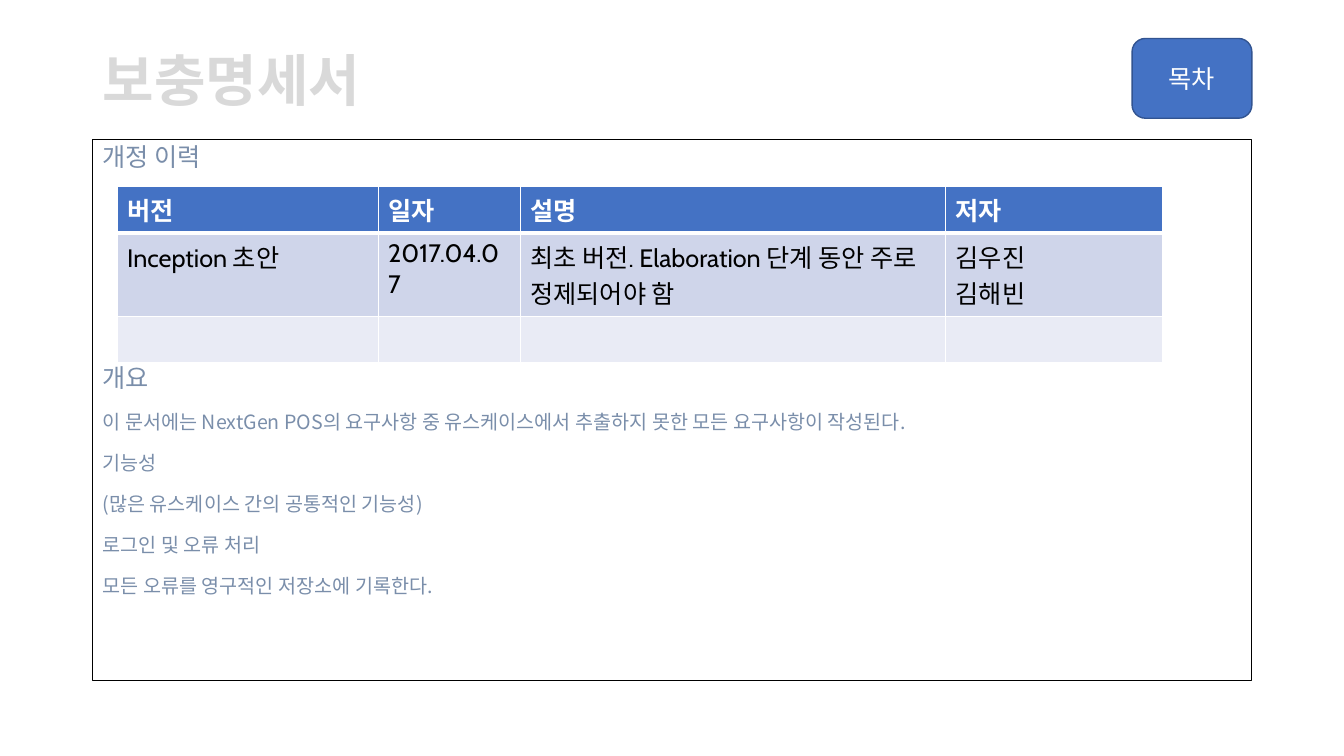
from dataclasses import dataclass

from lxml.etree import SubElement
from pptx import Presentation
from pptx.dml.color import RGBColor as Rgb
from pptx.enum.shapes import MSO_SHAPE as Shape
from pptx.enum.text import MSO_ANCHOR as Anchor, PP_ALIGN as Align
from pptx.oxml.ns import qn
from pptx.util import Cm, Pt


@dataclass(frozen=True)
class Theme:
    hangul: str = "Noto Sans CJK KR"
    latin: str = "Cabin"
    white: str = "FFFFFF"
    black: str = "000000"
    blue: str = "4472C4"
    edge: str = "325491"
    title: str = "D9D9D9"
    slate: str = "7A8EAA"
    band: str = "CFD5EA"
    pale: str = "E9EBF5"
    huge: int = 40
    large: int = 18
    small: int = 14


T = Theme()

HEADS = ["버전", "일자", "설명", "저자"]
# Each cell holds lines, each line holds (text, font) runs
ENTRY = [
    [[("Inception ", T.latin), ("초안", T.hangul)]],
    [[("2017.04.07", T.latin)]],
    [[("최초 버전", T.hangul), (". Elaboration ", T.latin),
      ("단계 동안 주로 정제되어야 함", T.hangul)]],
    [[("김우진", T.latin)], [("김해빈", T.latin)]],
]
NOTES = [
    "이 문서에는 NextGen POS의 요구사항 중 유스케이스에서 추출하지 못한 모든 요구사항이 작성된다.",
    "기능성",
    "(많은 유스케이스 간의 공통적인 기능성)",
    "로그인 및 오류 처리",
    "모든 오류를 영구적인 저장소에 기록한다.",
]


def write(frame, runs, size=T.large, color=T.black, bold=False,
          align=Align.LEFT, lead=None, before=None):
    """Add one paragraph of (text, font) runs, or of plain text."""
    para = frame.paragraphs[0]
    if para.runs:
        para = frame.add_paragraph()
    para.alignment = align
    if lead:
        para.line_spacing = lead
    if before:
        para.space_before = Pt(before)
    if isinstance(runs, str):
        runs = [(runs, T.hangul)]
    for text, face in runs:
        run = para.add_run()
        run.text = text
        font = run.font
        font.size, font.bold, font.name = Pt(size), bold, face
        font.color.rgb = Rgb.from_string(color)
        SubElement(font._element, qn("a:ea"), typeface=T.hangul)


def panel(slide, kind, box, fill, edge, width):
    shape = slide.shapes.add_shape(kind, *map(Cm, box))
    shape.shadow.inherit = False
    shape.fill.solid()
    shape.fill.fore_color.rgb = Rgb.from_string(fill)
    shape.line.color.rgb = Rgb.from_string(edge)
    shape.line.width = Pt(width)
    shape.text_frame.word_wrap = True
    return shape.text_frame


def border(cell, **widths):
    props = cell._tc.get_or_add_tcPr()
    for side, width in widths.items():
        line = SubElement(props, qn(f"a:ln{side}"), w=str(Pt(width)))
        fill = SubElement(line, qn("a:solidFill"))
        SubElement(fill, qn("a:srgbClr"), val=T.white)


# Title on the left, contents button on the right
def header(slide, box):
    left, top, width, height = box
    wide, gap = 3.02, 0.33
    title = slide.shapes.add_textbox(
        Cm(left), Cm(top), Cm(width - wide - gap), Cm(height)).text_frame
    title.word_wrap = True
    title.vertical_anchor = Anchor.BOTTOM
    write(title, "보충명세서", size=T.huge, color=T.title, bold=True, lead=0.85)

    spot = (left + width - wide, top, wide, height)
    button = panel(slide, Shape.ROUNDED_RECTANGLE, spot, T.blue, T.edge, 1)
    button.vertical_anchor = Anchor.MIDDLE
    write(button, "목차", color=T.white, align=Align.CENTER)


# Revision table
def history(slide, left, top):
    cols, rows = [6.58, 3.58, 10.72, 5.46], [1.17, 2.1, 1.17]
    table = slide.shapes.add_table(
        len(rows), len(cols), Cm(left), Cm(top),
        Cm(sum(cols)), Cm(sum(rows))).table
    table.horz_banding = False
    for col, width in zip(table.columns, cols):
        col.width = Cm(width)
    for row, height in zip(table.rows, rows):
        row.height = Cm(height)

    fills = [T.blue, T.band, T.pale]
    for r, fill in enumerate(fills):
        for c in range(len(cols)):
            cell = table.cell(r, c)
            border(cell, L=1, R=1, T=3 if r == 1 else 1, B=3 if r == 0 else 1)
            cell.fill.solid()
            cell.fill.fore_color.rgb = Rgb.from_string(fill)
    for c, (head, lines) in enumerate(zip(HEADS, ENTRY)):
        write(table.cell(0, c).text_frame, head, color=T.white, bold=True)
        for line in lines:
            write(table.cell(1, c).text_frame, line)


# Framed body text, with room left for the table
def body(slide, box):
    left, top = box[:2]
    frame = panel(slide, Shape.RECTANGLE, box, T.white, T.black, 0)
    frame.vertical_anchor = Anchor.TOP
    write(frame, "개정 이력", color=T.slate, lead=0.9)
    write(frame, "개요", color=T.slate, lead=0.9, before=139)
    for note in NOTES:
        write(frame, note, size=T.small, color=T.slate, lead=0.9, before=14)
    history(slide, left + 0.61, top + 1.19)


def main():
    deck = Presentation()
    deck.slide_width, deck.slide_height = Cm(33.87), Cm(19.05)
    slide = deck.slides.add_slide(deck.slide_layouts[6])
    header(slide, (2.34, 0.97, 29.21, 2.01))
    body(slide, (2.34, 3.51, 29.21, 13.64))
    deck.save("out.pptx")


if __name__ == "__main__":
    main()
